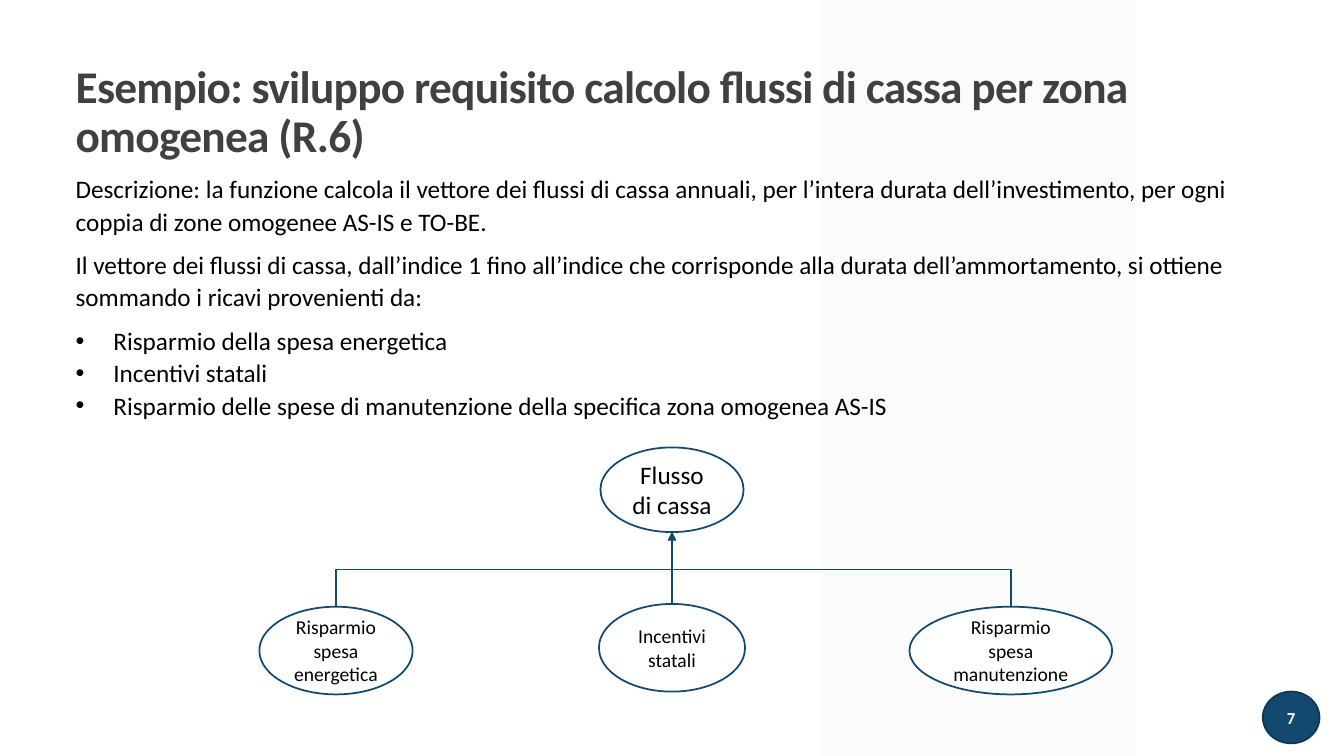
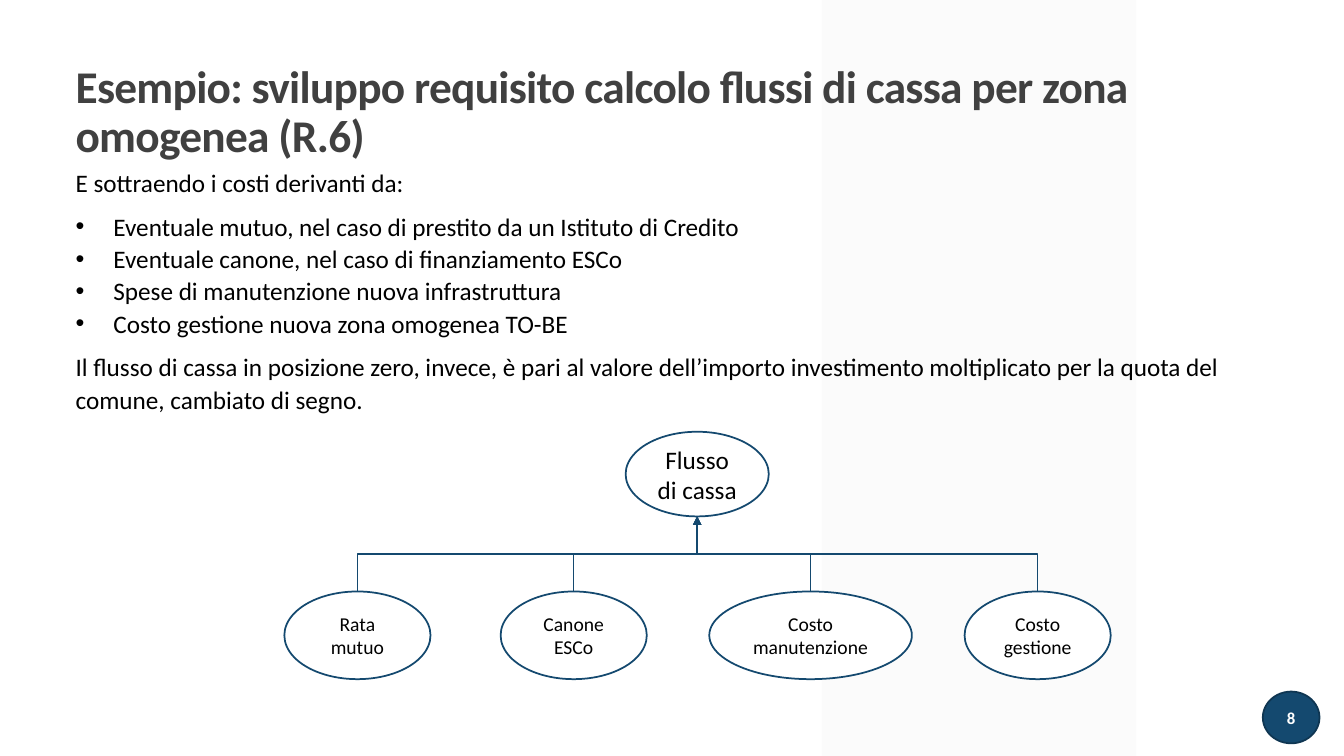
from lxml import etree
from pptx import Presentation
from pptx.dml.color import RGBColor
from pptx.enum.shapes import MSO_CONNECTOR, MSO_SHAPE
from pptx.enum.text import MSO_ANCHOR, MSO_AUTO_SIZE, PP_ALIGN
from pptx.oxml.ns import qn
from pptx.util import Pt

LEFT, CENTER = PP_ALIGN.LEFT, PP_ALIGN.CENTER
TOP, MIDDLE = MSO_ANCHOR.TOP, MSO_ANCHOR.MIDDLE
NO_FIT = MSO_AUTO_SIZE.NONE
ELBOW, STRAIGHT = MSO_CONNECTOR.ELBOW, MSO_CONNECTOR.STRAIGHT
ELLIPSE, BADGE = MSO_SHAPE.OVAL, MSO_SHAPE.FLOWCHART_CONNECTOR
BAND = MSO_SHAPE.PARALLELOGRAM

WHITE = RGBColor(0xFF, 0xFF, 0xFF)
BLACK = RGBColor(0x00, 0x00, 0x00)
GRAY = RGBColor(0x40, 0x40, 0x40)
PALE = RGBColor(0xF2, 0xF2, 0xF2)
BLUE = RGBColor(0x14, 0x49, 0x6F)
NAVY = RGBColor(0x0F, 0x36, 0x52)

FONT = "Calibri"
MARGIN = 46.8
INDENT = 27
ROOT_W, ROOT_H = 102.24, 60.5
LEAF_H = 62.64
NARROW, MEDIUM, WIDE = 104.4, 109.44, 144.72

TITLE = "Esempio: sviluppo requisito calcolo flussi di cassa per zona omogenea (R.6)"


def apply(target, formats):
    for name, value in formats.items():
        setattr(target, name, value)


class Deck:
    """Holds the style and the slide being built; lengths are in points."""

    def __init__(self):
        self.prs = Presentation()
        apply(self.prs, {"slide_width": Pt(960), "slide_height": Pt(540)})
        self.layout = self.prs.slide_layouts[1]
        self.s = None

    def new_slide(self, number):
        first = self.s is None
        self.s = self.prs.slides.add_slide(self.layout)
        if first:
            self.add_layout_band()
        self.title()
        badge = self.shape(BADGE, 902, 494, 40.5, 37, BLUE, NAVY)
        self.text(badge, str(number), 12, WHITE, bold=True)

    def add_layout_band(self):
        """Draw the pale band and move it to the layout, behind every slide."""
        band = self.shape(BAND, 587, 0, 224.6, 540, PALE)
        band.adjustments[0] = 0
        color = band.fill._xPr.find(qn("a:solidFill"))[0]
        etree.SubElement(color, qn("a:alpha"), val="30000")
        self.layout.shapes.element.append(band.element)

    def place(self, sp, x, y, w, h):
        apply(sp, {"left": Pt(x), "top": Pt(y), "width": Pt(w), "height": Pt(h)})

    def run(self, p, text, size, color, bold=False):
        r = p.add_run()
        r.text = text
        apply(r.font, {"name": FONT, "size": Pt(size), "bold": bold})
        r.font.color.rgb = color
        return r

    def text(self, sp, text, size, color, bold=False):
        tf = sp.text_frame
        apply(tf, {"word_wrap": True, "vertical_anchor": MIDDLE})
        p = tf.paragraphs[0]
        p.alignment = CENTER
        self.run(p, text, size, color, bold)

    def shape(self, kind, x, y, w, h, fill, line=None):
        sp = self.s.shapes.add_shape(kind, Pt(x), Pt(y), Pt(w), Pt(h))
        sp.shadow.inherit = False
        sp.fill.solid()
        sp.fill.fore_color.rgb = fill
        if line is None:
            sp.line.fill.background()
        else:
            sp.line.color.rgb = line
            sp.line.width = Pt(1.25)
        return sp

    def title(self):
        sp = self.s.shapes.title
        self.place(sp, MARGIN, 42.5, 831.6, 76.3)
        tf = sp.text_frame
        apply(tf, {"auto_size": NO_FIT, "word_wrap": True, "vertical_anchor": MIDDLE})
        p = tf.paragraphs[0]
        apply(p, {"alignment": LEFT, "line_spacing": 0.9})
        r = self.run(p, TITLE, 32.4, GRAY, bold=True)
        r.font._element.set("spc", "-50")

    def body(self, top, items):
        """Fill the body; an item that is a list becomes a bulleted group."""
        sp = self.s.placeholders[1]
        self.place(sp, MARGIN, top, 883.4, 216.7)
        tf = sp.text_frame
        apply(tf, {"auto_size": NO_FIT, "word_wrap": True, "vertical_anchor": TOP})
        lines = []
        for item in items:
            group = item if isinstance(item, list) else [item]
            for text in group:
                lines.append((text, group is item, 8 if text == group[-1] else 0))
        for i, (text, bulleted, after) in enumerate(lines):
            p = tf.add_paragraph() if i else tf.paragraphs[0]
            apply(p, {"alignment": LEFT, "line_spacing": 1.07,
                      "space_before": Pt(0), "space_after": Pt(after)})
            self.bullet(p, bulleted)
            self.run(p, text, 18, BLACK)

    def bullet(self, p, shown):
        indent = Pt(INDENT) if shown else 0
        pPr = p._p.get_or_add_pPr()
        pPr.set("marL", str(indent))
        pPr.set("indent", str(-indent))
        if shown:
            etree.SubElement(pPr, qn("a:buFont"), typeface="Arial")
            etree.SubElement(pPr, qn("a:buChar"), char="•")
        else:
            etree.SubElement(pPr, qn("a:buNone"))

    def arrow(self, x1, y1, x2, y2):
        """Arrow upwards from (x1, y1) to (x2, y2), leaving and arriving vertically."""
        if x1 == x2:
            line = self.s.shapes.add_connector(STRAIGHT, Pt(x1), Pt(y1), Pt(x2), Pt(y2))
        else:
            # An elbow starts horizontally, so it is laid out on its side and turned.
            side = 1 if x1 < x2 else -1
            cx, cy = (x1 + x2) / 2, (y1 + y2) / 2
            dx, dy = side * (y1 - y2) / 2, abs(x2 - x1) / 2
            line = self.s.shapes.add_connector(
                ELBOW, Pt(cx + dx), Pt(cy + dy), Pt(cx - dx), Pt(cy - dy))
            xfrm = line.element.spPr.find(qn("a:xfrm"))
            xfrm.set("rot", str(side * 90 % 360 * 60000))
        line.line.color.rgb = BLUE
        line.line.width = Pt(1)
        spPr = line.element.spPr
        etree.SubElement(spPr.find(qn("a:ln")), qn("a:tailEnd"), type="triangle")
        etree.SubElement(spPr, qn("a:effectLst"))

    def node(self, label, cx, top, w, h, size):
        sp = self.shape(ELLIPSE, cx - w / 2, top, w, h, WHITE, BLUE)
        self.text(sp, label, size, BLACK)

    def tree(self, cx, top, leaves):
        """Root ellipse fed by leaves, each given as (label, centre, top, width)."""
        for _, leaf_cx, leaf_top, _ in leaves:
            self.arrow(leaf_cx, leaf_top, cx, top + ROOT_H)
        self.node("Flusso di cassa", cx, top, ROOT_W, ROOT_H, 18)
        for label, leaf_cx, leaf_top, w in leaves:
            self.node(label, leaf_cx, leaf_top, w, LEAF_H, 14)


def main():
    deck = Deck()

    deck.new_slide(7)
    deck.body(118.8, [
        "Descrizione: la funzione calcola il vettore dei flussi di cassa annuali, per "
        "l’intera durata dell’investimento, per ogni coppia di zone omogenee AS-IS e TO-BE.",
        "Il vettore dei flussi di cassa, dall’indice 1 fino all’indice che corrisponde alla "
        "durata dell’ammortamento, si ottiene sommando i ricavi provenienti da:",
        ["Risparmio della spesa energetica",
         "Incentivi statali",
         "Risparmio delle spese di manutenzione della specifica zona omogenea AS-IS"],
    ])
    deck.tree(480, 319.6, [
        ("Risparmio spesa energetica", 240, 433.4, MEDIUM),
        ("Incentivi statali", 480, 431.4, NARROW),
        ("Risparmio spesa manutenzione", 722, 433.4, WIDE),
    ])

    deck.new_slide(8)
    deck.body(114.5, [
        "E sottraendo i costi derivanti da:",
        ["Eventuale mutuo, nel caso di prestito da un Istituto di Credito",
         "Eventuale canone, nel caso di finanziamento ESCo",
         "Spese di manutenzione nuova infrastruttura",
         "Costo gestione nuova zona omogenea TO-BE"],
        "Il flusso di cassa in posizione zero, invece, è pari al valore dell’importo "
        "investimento moltiplicato per la quota del comune, cambiato di segno.",
    ])
    deck.tree(498, 308.4, [
        ("Rata mutuo", 255.3, 422.5, NARROW),
        ("Canone ESCo", 409.8, 422.5, NARROW),
        ("Costo manutenzione", 579, 422.5, WIDE),
        ("Costo gestione", 741.2, 422.5, NARROW),
    ])

    deck.prs.save("out.pptx")


if __name__ == "__main__":
    main()
